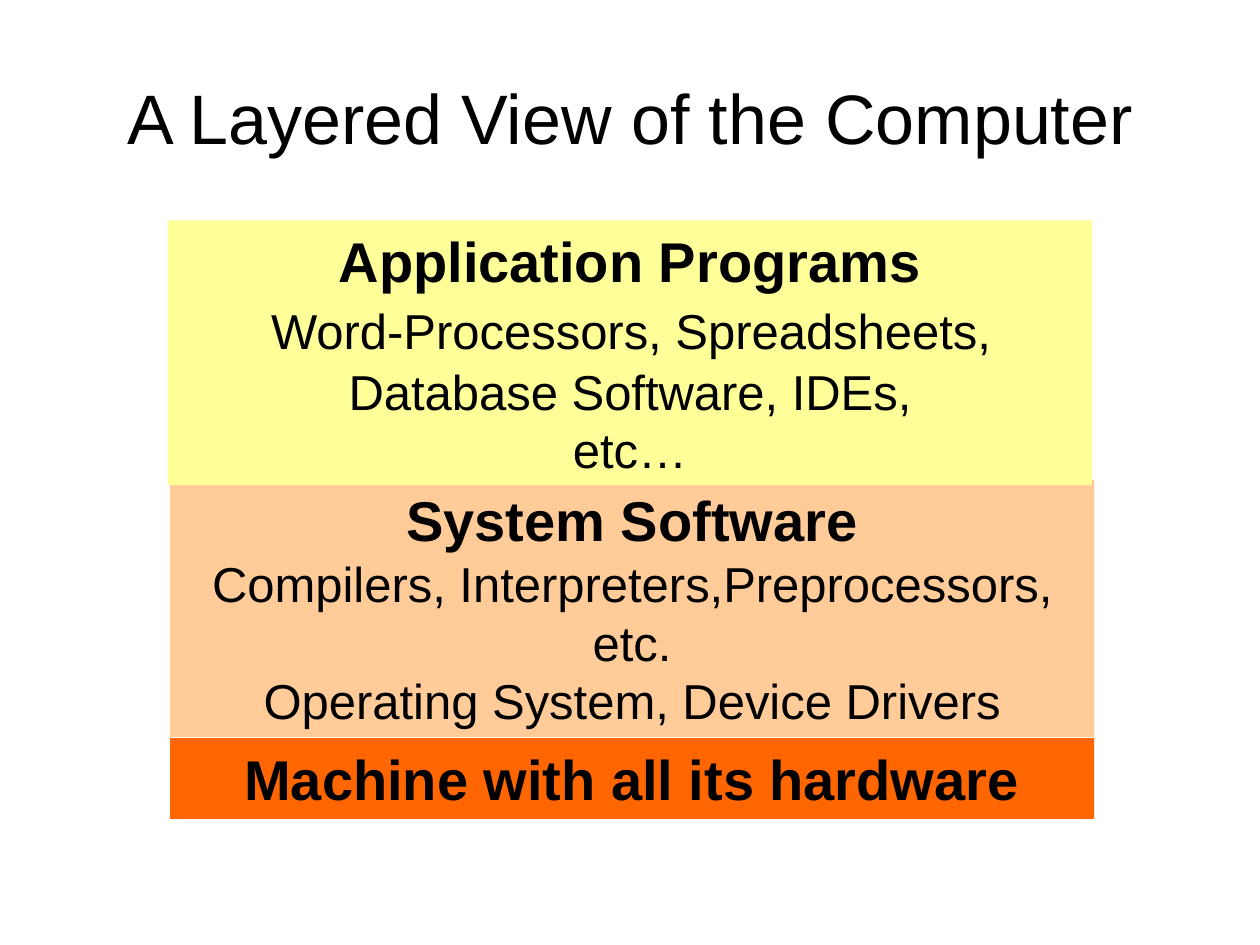
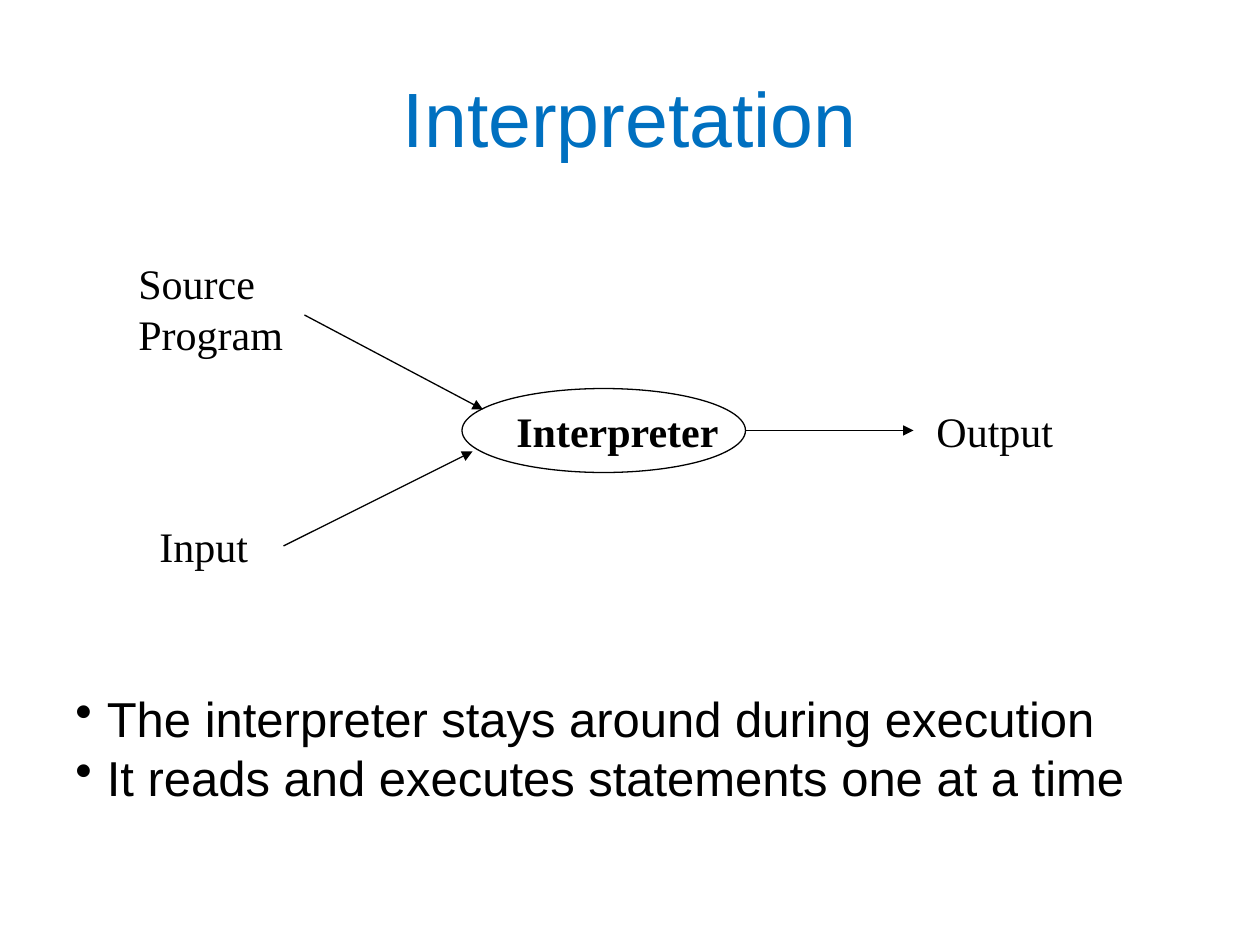
from lxml import etree
from pptx import Presentation
from pptx.dml.color import RGBColor
from pptx.enum.shapes import MSO_CONNECTOR, MSO_SHAPE
from pptx.enum.text import MSO_ANCHOR, MSO_AUTO_SIZE, PP_ALIGN
from pptx.oxml.ns import qn
from pptx.util import Pt

PX = 7620  # EMU in one px, 120 px to the inch
COLOURS = {
    "text": "000000",
    "accent": "0070C0",
    "hardware": "FF6600",
    "system": "FFCC99",
    "application": "FFFF99",
}
RECTANGLE, OVAL = MSO_SHAPE.RECTANGLE, MSO_SHAPE.OVAL
STRAIGHT = MSO_CONNECTOR.STRAIGHT
TOP, MIDDLE = MSO_ANCHOR.TOP, MSO_ANCHOR.MIDDLE
CENTRE = PP_ALIGN.CENTER
FIT_TEXT = MSO_AUTO_SIZE.SHAPE_TO_FIT_TEXT
HEADING, DETAIL, LABEL = 32, 28, 24


def rgb(name):
    return RGBColor.from_string(COLOURS[name])


def add_text(page, place, lines, size, face="Arial", colour="text", bold=False):
    """Add a text box with one paragraph per line and return it."""
    box = page.shapes.add_textbox(*[v * PX for v in place])
    frame = box.text_frame
    frame.word_wrap = True
    frame.text = "\n".join(lines)
    for para in frame.paragraphs:
        para.font.name, para.font.size, para.font.bold = face, Pt(size), bold
        para.font.color.rgb = rgb(colour)
    return box


deck = Presentation()
deck.slide_width, deck.slide_height = 1200 * PX, 900 * PX
titles = [("A Layered View of the Computer", 40, "text"),
          ("Interpretation", 44, "accent")]
pages = []
for title, size, colour in titles:
    page = deck.slides.add_slide(deck.slide_layouts[6])
    box = add_text(page, (60, 36, 1080, 150), [title], size, colour=colour)
    box.text_frame.vertical_anchor = MIDDLE
    box.text_frame.paragraphs[0].alignment = CENTRE
    pages.append(page)
layers_page, interpreter_page = pages

# Layers, from the machine upwards: colour, place, space before, text spans
layers = [
    ("hardware", (162, 703, 880, 77), 20,
     [("Machine with all its hardware", HEADING)]),
    ("system", (162, 457, 880, 245), 17.5,
     [("System Software\n", HEADING),
      ("Compilers, Interpreters,Preprocessors, etc.\n"
       "Operating System, Device Drivers", DETAIL)]),
    ("application", (160, 210, 880, 252), 17.5,
     [("Application Programs\n ", HEADING),
      ("Word-Processors, Spreadsheets, \nDatabase Software, IDEs,\netc…", DETAIL)]),
]
for colour, place, space, spans in layers:
    layer = layers_page.shapes.add_shape(RECTANGLE, *[v * PX for v in place])
    layer.shadow.inherit = False
    layer.fill.solid()
    layer.fill.fore_color.rgb = rgb(colour)
    layer.line.fill.background()
    frame = layer.text_frame
    frame.word_wrap, frame.auto_size, frame.vertical_anchor = True, FIT_TEXT, TOP
    para = frame.paragraphs[0]
    para.alignment, para.space_before = CENTRE, Pt(space)
    para.font.name, para.font.color.rgb = "Arial", rgb("text")
    for text, size in spans:
        for number, line in enumerate(text.split("\n")):
            if number:
                para.add_line_break()
            if line:
                span = para.add_run()
                span.text = line
                span.font.name, span.font.size = "Arial", Pt(size)
                span.font.bold = size == HEADING
                span.font.color.rgb = rgb("text")

# Flow from source and input through the interpreter to the output
labels = [
    (["Interpreter"], (480, 380, 220, 60)),
    (["Source", "Program"], (120, 260, 180, 85)),
    (["Input"], (140, 490, 120, 60)),
    (["Output"], (880, 380, 140, 60)),
]
for lines, place in labels:
    box = add_text(interpreter_page, place, lines, LABEL, "Times New Roman",
                   bold=lines == ["Interpreter"])
    box.text_frame.auto_size = FIT_TEXT
    for para in box.text_frame.paragraphs:
        para.space_before = Pt(15)
        if len(lines) > 1:
            para.line_spacing = 0.5

oval = interpreter_page.shapes.add_shape(OVAL, 440 * PX, 370 * PX, 270 * PX, 80 * PX)
oval.shadow.inherit = False
oval.fill.background()
oval.line.color.rgb, oval.line.width = rgb("text"), Pt(0.75)

arrows = [(290, 300, 460, 390), (710, 410, 870, 410), (270, 520, 450, 430)]
for ends in arrows:
    arrow = interpreter_page.shapes.add_connector(STRAIGHT, *[v * PX for v in ends])
    arrow.line.color.rgb, arrow.line.width = rgb("text"), Pt(0.75)
    properties = arrow._element.spPr
    etree.SubElement(properties.find(qn("a:ln")), qn("a:tailEnd"), type="triangle")
    etree.SubElement(properties, qn("a:effectLst"))

box = add_text(interpreter_page, (60, 650, 1060, 125),
               ["The interpreter stays around during execution",
                "It reads and executes statements one at a time"], DETAIL)
box.text_frame.auto_size = FIT_TEXT
for para in box.text_frame.paragraphs:
    properties = para._p.get_or_add_pPr()
    properties.set("marL", str(30 * PX))
    properties.set("indent", str(-30 * PX))
    bullet = etree.Element(qn("a:buChar"), char="•")
    properties.insert(0, bullet)

deck.save("out.pptx")
